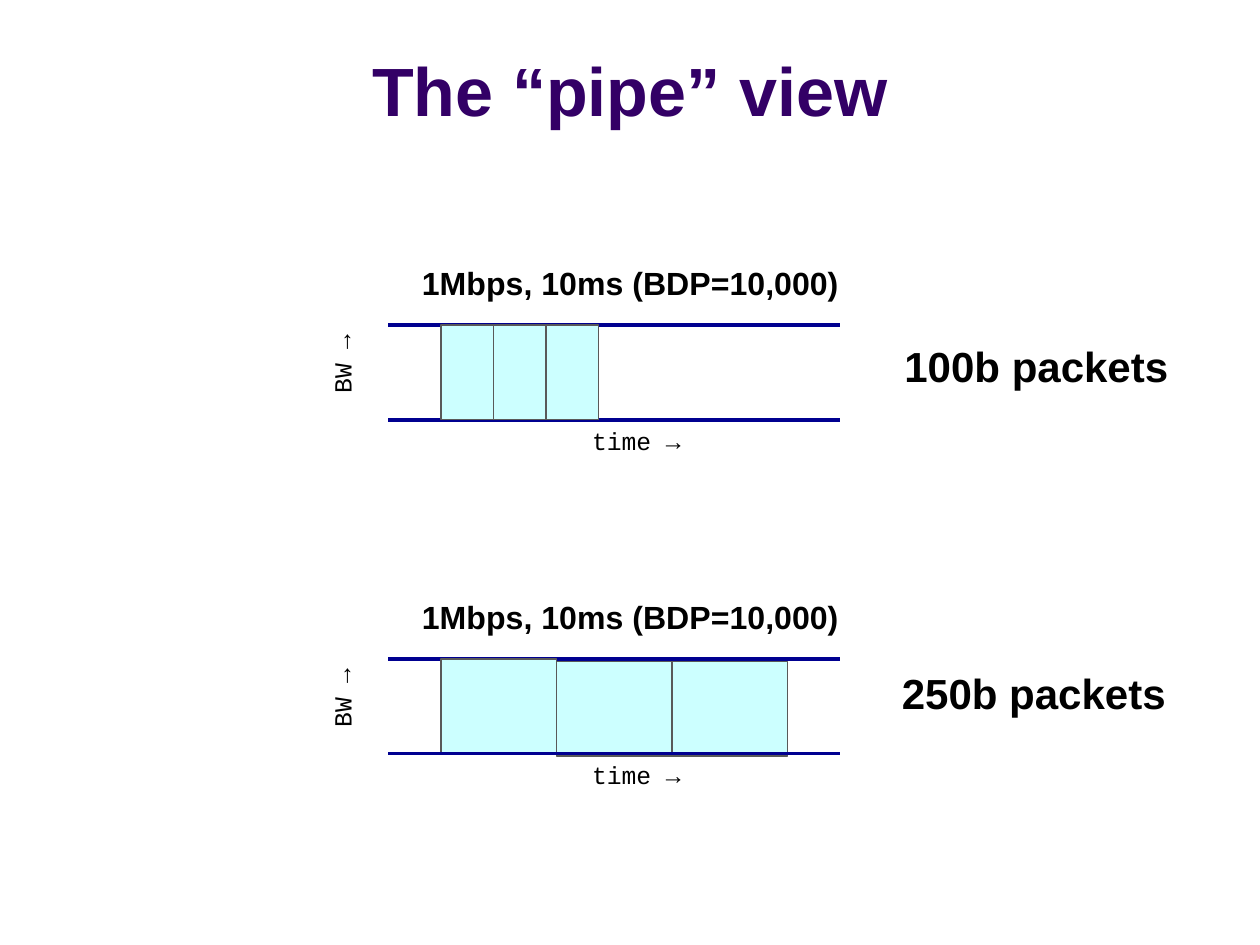
from lxml import etree
from pptx import Presentation
from pptx.dml.color import RGBColor
from pptx.enum import shapes, text
from pptx.oxml.ns import qn
from pptx.util import Inches, Pt

PIPE_LEFT, PIPE_RIGHT, PIPE_HEIGHT = 3.08, 6.67, 0.75
FIRST_PACKET = 3.5
ALIGN = text.PP_ALIGN


def color(value):
    return RGBColor.from_string(value)


def write(frame, words, size, font="Arial", ink="000000", bold=False,
          align=ALIGN.LEFT, spacing=None):
    paragraph = frame.paragraphs[0]
    paragraph.alignment = align
    paragraph.line_spacing = spacing
    run = paragraph.add_run()
    run.text = words
    run.font.size = Pt(size)
    run.font.name = font
    run.font.bold = bold
    run.font.color.rgb = color(ink)


def add_label(slide, words, left, top, width, height, wrap=False, rotation=0, **style):
    label = slide.shapes.add_textbox(Inches(left), Inches(top), Inches(width), Inches(height))
    label.rotation = rotation
    label.text_frame.word_wrap = wrap
    label.text_frame.auto_size = text.MSO_AUTO_SIZE.SHAPE_TO_FIT_TEXT
    write(label.text_frame, words, **style)


def add_wall(slide, y):
    wall = slide.shapes.add_connector(
        shapes.MSO_CONNECTOR.STRAIGHT,
        Inches(PIPE_LEFT), Inches(y), Inches(PIPE_RIGHT), Inches(y))
    wall.line.color.rgb = color("000090")
    wall.line.width = Pt(2.25)
    etree.SubElement(wall._element.spPr, qn("a:effectLst"))


def add_packet(slide, left, top, width):
    packet = slide.shapes.add_shape(
        shapes.MSO_SHAPE.RECTANGLE,
        Inches(left), Inches(top), Inches(width), Inches(PIPE_HEIGHT))
    packet.shadow.inherit = False
    packet.fill.solid()
    packet.fill.fore_color.rgb = color("CCFFFF")
    packet.line.color.rgb = color("595959")
    packet.line.width = Pt(0.75)


def add_pipe(slide, top, packet_width, packet_drops, wall_in_front):
    """Draw a labelled pipe; packet_drops are the packets' offsets below its top."""
    bottom = top + PIPE_HEIGHT
    axis = dict(size=14.1, font="Courier New", align=ALIGN.RIGHT)
    add_label(slide, "1Mbps, 10ms (BDP=10,000)", 3.25, top - 0.6, 3.6, 0.47,
              size=18.3, bold=True, spacing=1.2)
    add_label(slide, "time →", 4.52, bottom, 0.98, 0.34, **axis)
    add_label(slide, "BW →", 2.34, top + 0.18, 0.75, 0.34, rotation=270, **axis)
    add_wall(slide, top)
    if not wall_in_front:
        add_wall(slide, bottom)
    for index, drop in enumerate(packet_drops):
        add_packet(slide, FIRST_PACKET + index * packet_width, top + drop, packet_width)
    if wall_in_front:
        add_wall(slide, bottom)


def add_title(slide, words):
    title = slide.shapes.title
    title.left, title.top = Inches(0), Inches(0.13)
    title.width, title.height = Inches(10), Inches(0.95)
    title.text_frame.vertical_anchor = text.MSO_ANCHOR.BOTTOM
    write(title.text_frame, words, size=39, ink="330066", bold=True, align=ALIGN.CENTER)


def main():
    deck = Presentation()
    deck.slide_width, deck.slide_height = Inches(10), Inches(7.5)
    slide = deck.slides.add_slide(deck.slide_layouts[5])

    add_title(slide, "The “pipe” view")
    add_pipe(slide, 2.58, 0.417, (0, 0, 0), wall_in_front=False)
    add_pipe(slide, 5.23, 0.917, (0, 0.02, 0.02), wall_in_front=True)
    for words, left, top in (("100b packets", 7.08, 2.65), ("250b packets", 7.06, 5.25)):
        add_label(slide, words, left, top, 2.4, 0.5, wrap=True, size=24, bold=True)

    deck.save("out.pptx")


if __name__ == "__main__":
    main()
